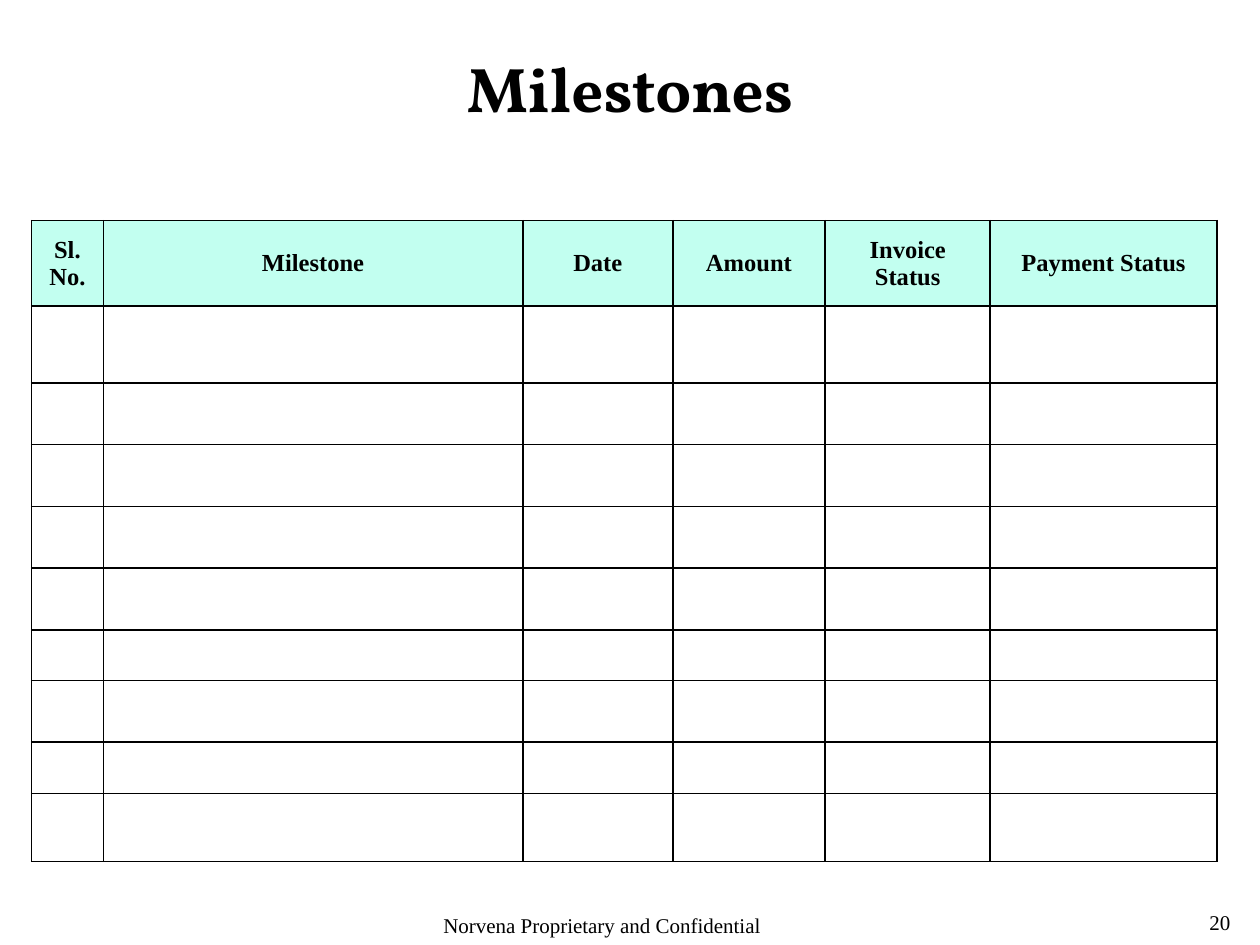
from lxml import etree
from pptx import Presentation
from pptx.dml.color import RGBColor
from pptx.enum.text import MSO_ANCHOR, PP_ALIGN
from pptx.oxml.ns import qn
from pptx.util import Inches, Pt

MIDDLE = MSO_ANCHOR.MIDDLE
CENTER = PP_ALIGN.CENTER
TITLE_ONLY_LAYOUT = 5

BLACK = RGBColor(0x00, 0x00, 0x00)
WHITE = RGBColor(0xFF, 0xFF, 0xFF)
MINT = RGBColor(0xC2, 0xFF, 0xF0)

TITLE_FONT = "Vollkorn"
BODY_FONT = "Times New Roman"

HEADERS = ["Sl. No.", "Milestone", "Date", "Amount", "Invoice Status", "Payment Status"]
COLUMN_WIDTHS = [0.57, 3.33, 1.19, 1.21, 1.31, 1.8]
ROW_HEIGHTS = [0.68, 0.61, 0.49, 0.49, 0.49, 0.49, 0.4, 0.49, 0.41, 0.54]


def add_run(paragraph, text, font_name, size, bold=False):
    run = paragraph.add_run()
    run.text = text
    run.font.name = font_name
    run.font.size = Pt(size)
    run.font.bold = bold
    run.font.color.rgb = BLACK


def set_title(slide, text):
    title = slide.shapes.title
    title.left, title.top = Inches(0.88), Inches(0.3)
    title.width, title.height = Inches(8.24), Inches(0.78)
    title.text_frame.vertical_anchor = MIDDLE
    paragraph = title.text_frame.paragraphs[0]
    paragraph.alignment = CENTER
    add_run(paragraph, text, TITLE_FONT, 36, bold=True)


def add_footer_text(slide, text, left, top, width, height):
    box = slide.shapes.add_textbox(Inches(left), Inches(top), Inches(width), Inches(height))
    box.text_frame.word_wrap = True
    add_run(box.text_frame.paragraphs[0], text, BODY_FONT, 12)


def set_cell_borders(cell):
    """Draw a thin black line on all four sides; call before filling the cell."""
    properties = cell._tc.get_or_add_tcPr()
    for side in ("a:lnL", "a:lnR", "a:lnT", "a:lnB"):
        line = etree.SubElement(properties, qn(side), w=str(Pt(1)))
        fill = etree.SubElement(line, qn("a:solidFill"))
        etree.SubElement(fill, qn("a:srgbClr"), val=str(BLACK))


def format_cell(cell, fill_color):
    set_cell_borders(cell)
    cell.fill.solid()
    cell.fill.fore_color.rgb = fill_color
    cell.vertical_anchor = MIDDLE
    paragraph = cell.text_frame.paragraphs[0]
    paragraph.alignment = CENTER
    paragraph.font.size = Pt(14)


def add_milestone_table(slide):
    table = slide.shapes.add_table(
        len(ROW_HEIGHTS), len(COLUMN_WIDTHS), Inches(0.25), Inches(1.75),
        Inches(sum(COLUMN_WIDTHS)), Inches(sum(ROW_HEIGHTS)),
    ).table
    table.horz_banding = False
    for column, width in zip(table.columns, COLUMN_WIDTHS):
        column.width = Inches(width)
    for index, (row, height) in enumerate(zip(table.rows, ROW_HEIGHTS)):
        row.height = Inches(height)
        for cell in row.cells:
            format_cell(cell, MINT if index == 0 else WHITE)
    for cell, header in zip(table.rows[0].cells, HEADERS):
        add_run(cell.text_frame.paragraphs[0], header, BODY_FONT, 14, bold=True)


def main():
    presentation = Presentation()
    presentation.slide_width = Inches(10)
    presentation.slide_height = Inches(7.5)
    slide = presentation.slides.add_slide(presentation.slide_layouts[TITLE_ONLY_LAYOUT])
    set_title(slide, "Milestones")
    add_milestone_table(slide)
    add_footer_text(slide, "20", 9.5, 7.17, 0.5, 0.33)
    add_footer_text(slide, "Norvena Proprietary and Confidential", 3.42, 7.19, 3.16, 0.31)
    presentation.save("out.pptx")


if __name__ == "__main__":
    main()
